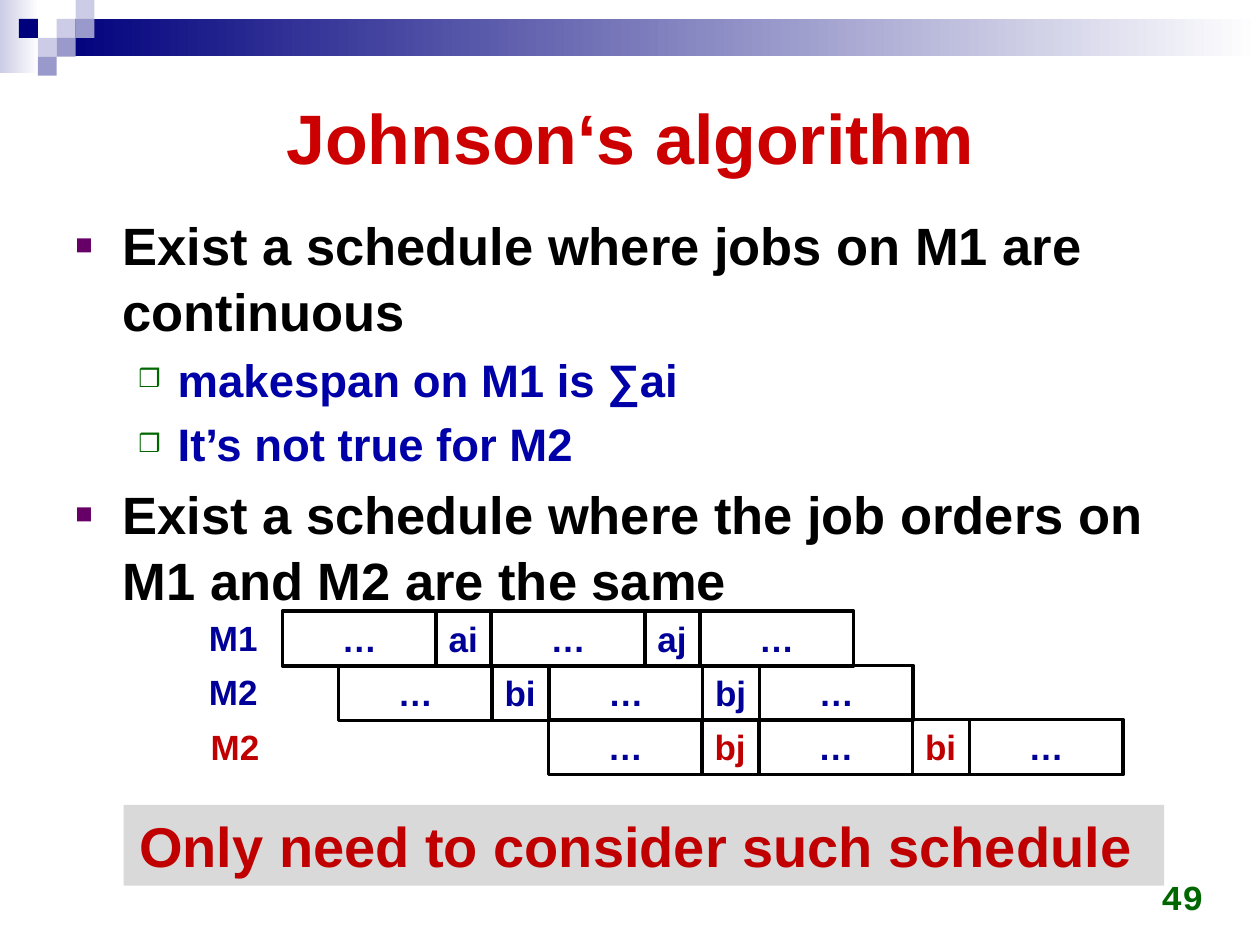
"""Builds a slide on Johnson's algorithm with a two-machine schedule."""
from lxml import etree
from pptx import Presentation
from pptx.dml.color import RGBColor
from pptx.enum.shapes import MSO_SHAPE
from pptx.enum.text import MSO_ANCHOR, PP_ALIGN
from pptx.oxml.ns import qn
from pptx.util import Pt

RECT = MSO_SHAPE.RECTANGLE
TOP, MID, LOW = MSO_ANCHOR.TOP, MSO_ANCHOR.MIDDLE, MSO_ANCHOR.BOTTOM
LEFT, MIDST, RIGHT = PP_ALIGN.LEFT, PP_ALIGN.CENTER, PP_ALIGN.RIGHT
NAVY, LILAC, HAZE = "00007D", "CCCCE6", "9999CC"
INK, RED, GREEN = "000099", "C00000", "006600"
BLACK, WHITE, GREY = "000000", "FFFFFF", "D9D9D9"
DOTS = "…"


def color(code):
    return RGBColor.from_string(code)


class Deck:
    def __init__(self, font="Arial"):
        self.font = font
        self.show = Presentation()
        self.show.slide_width, self.show.slide_height = Pt(720), Pt(540)
        self.slide = self.show.slides.add_slide(self.show.slide_layouts[6])

    def rect(self, x, y, w, h, fill=None, fade=None, line=None):
        box = self.slide.shapes.add_shape(RECT, Pt(x), Pt(y), Pt(w), Pt(h))
        box.shadow.inherit = False
        if fade:
            box.fill.gradient()
            box.fill.gradient_angle = 0
            for stop, code in zip(box.fill.gradient_stops, (fill, fade)):
                stop.color.rgb = color(code)
        elif fill:
            box.fill.solid()
            box.fill.fore_color.rgb = color(fill)
        else:
            box.fill.background()
        if line:
            box.line.color.rgb = color(line)
            box.line.width = Pt(2)
        else:
            box.line.fill.background()
        return box

    def area(self, x, y, w, h):
        return self.slide.shapes.add_textbox(Pt(x), Pt(y), Pt(w), Pt(h))

    def style(self, para, text, size, code, align=LEFT, font=None):
        para.text = text
        para.alignment = align
        para.font.name = font or self.font
        para.font.size = Pt(size)
        para.font.bold = True
        para.font.color.rgb = color(code)

    def label(self, box, text, size, code, align=LEFT, anchor=TOP, wrap=False, font=None):
        frame = box.text_frame
        frame.word_wrap = wrap
        frame.vertical_anchor = anchor
        self.style(frame.paragraphs[0], text, size, code, align, font)

    def bullet(self, para, mark, code, left, hang):
        props = para._p.get_or_add_pPr()
        props.set("marL", str(Pt(left)))
        props.set("indent", str(-Pt(hang)))
        tint = etree.Element(qn("a:buClr"))
        etree.SubElement(tint, qn("a:srgbClr"), val=code)
        size = etree.Element(qn("a:buSzPct"), val="55000")
        face = etree.Element(qn("a:buFont"), typeface=self.font)
        char = etree.Element(qn("a:buChar"), char=mark)
        props.find(qn("a:defRPr")).addprevious(tint)
        for part in (char, face, size):
            tint.addnext(part)

    def points(self, box, items):
        frame = box.text_frame
        frame.word_wrap = True
        for i, (level, text) in enumerate(items):
            para = frame.add_paragraph() if i else frame.paragraphs[0]
            size, code, *mark = LEVELS[level]
            self.style(para, text, size, code)
            para.level = level
            para.line_spacing = 1.05
            para.space_before = Pt(size * 0.15)
            self.bullet(para, *mark)

    def row(self, name, code, left, top, start, jobs, width):
        self.label(self.area(left, top - 0.4, 42.5, 31.5), name, 20, code)
        x = start
        for job in jobs:
            wide = job == DOTS
            w = 87.75 if wide else width
            cell = self.rect(x, top, w, 31.5, line=BLACK)
            self.label(cell, job, 20, INK if wide else code, MIDST if wide else LEFT, wrap=wide)
            x += w


LEVELS = [
    (30, BLACK, "■", "660066", 27, 27),
    (26, "0000A8", "❒", GREEN, 58.5, 22.5),
]
POINTS = [
    (0, "Exist a schedule where jobs on M1 are continuous"),
    (1, "makespan on M1 is ∑ai"),
    (1, "It’s not true for M2"),
    (0, "Exist a schedule where the job orders on M1 and M2 are the same"),
]
TILES = [
    (3, 1, LILAC), (4, 0, LILAC), (4, 1, HAZE), (2, 2, LILAC),
    (1, 1, NAVY), (3, 2, HAZE), (2, 3, HAZE),
]
ROWS = [
    ("M1", INK, 112.3, 161.5, [DOTS, "ai", DOTS, "aj", DOTS], 31.5),
    ("M2", INK, 112.3, 193.5, [DOTS, "bi", DOTS, "bj", DOTS], 32.5),
    ("M2", RED, 113.3, 313.5, [DOTS, "bj", DOTS, "bi", DOTS], 32.5),
]


def main():
    deck = Deck()
    deck.rect(0, 0, 22.3, 41.8, LILAC, WHITE)
    deck.rect(32.4, 10.8, 687.6, 21.4, NAVY, WHITE)
    for col, row, code in TILES:
        deck.rect(col * 10.8, row * 10.8, 10.8, 10.8, code)
    deck.label(deck.area(36, 36, 648, 83.5), "Johnson‘s algorithm", 40,
               "CC0000", MIDST, MID, True)
    deck.points(deck.area(36, 116.6, 648, 374.4), POINTS)
    deck.label(deck.area(527, 491.8, 167.8, 36), "49", 20, GREEN, RIGHT, LOW,
               True, "Courier New")
    deck.label(deck.rect(70.6, 460, 594.7, 46.1, GREY),
               "Only need to consider such schedule ", 32, RED, MIDST)
    for i, (name, code, left, start, jobs, width) in enumerate(ROWS):
        deck.row(name, code, left, 349.2 + 31 * i, start, jobs, width)
    deck.show.save("out.pptx")


if __name__ == "__main__":
    main()
